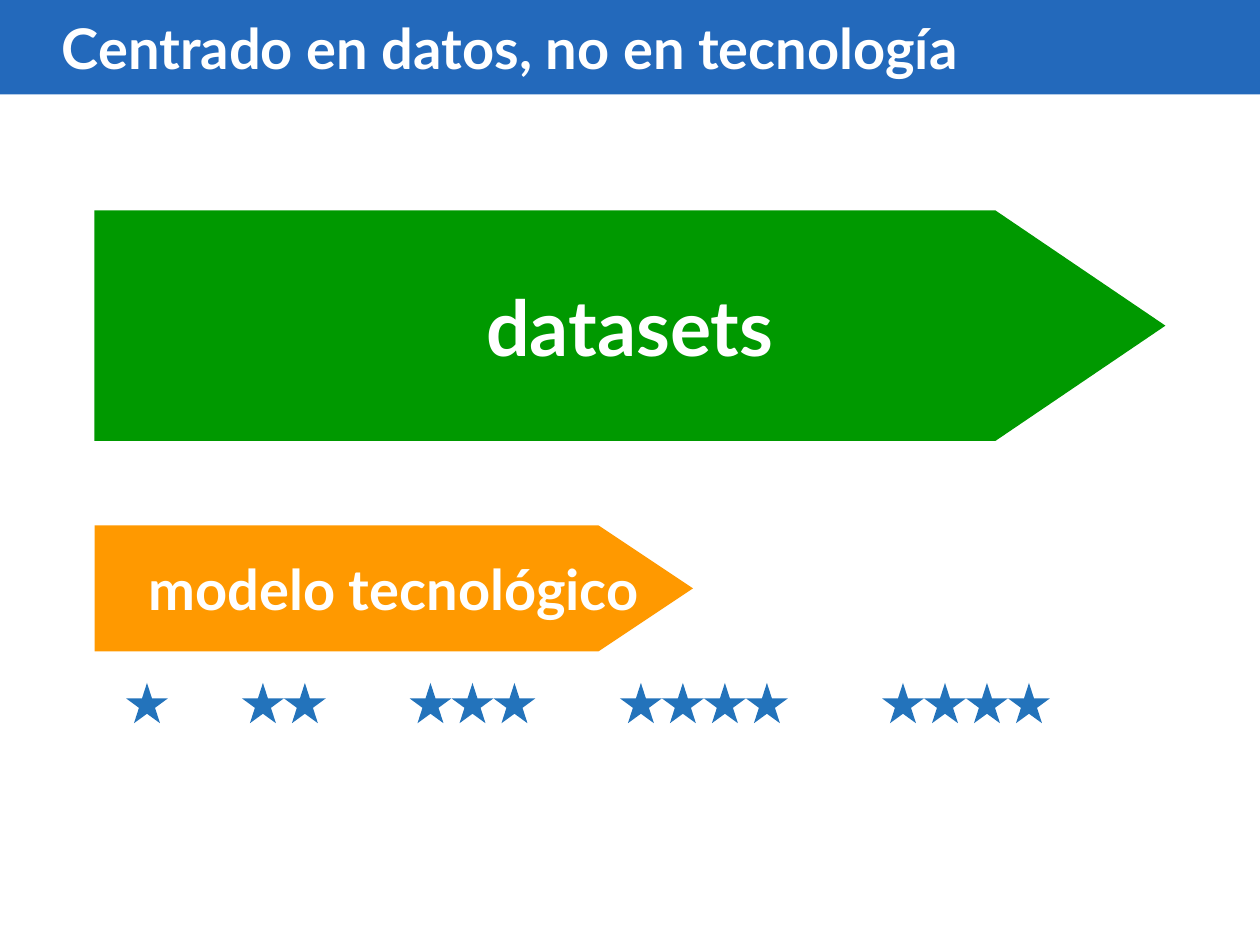
from dataclasses import dataclass

import pptx
import pptx.dml.color
import pptx.enum.shapes
import pptx.enum.text
import pptx.shapes.autoshape
import pptx.slide
import pptx.text.text
import pptx.util

Inches = pptx.util.Inches
RGBColor = pptx.dml.color.RGBColor
PP_ALIGN = pptx.enum.text.PP_ALIGN


@dataclass(frozen=True)
class Theme:
    font: str = "Lato"
    text: str = "FFFFFF"
    banner: str = "2369BB"
    datasets: str = "009900"
    model: str = "FF9900"
    star: str = "2373BB"
    normal_size: int = 32
    large_size: int = 44


@dataclass(frozen=True)
class Arrow:
    label: str
    top: float
    width: float
    height: float
    tip: float
    color: str
    size: int


@dataclass(frozen=True)
class Rating:
    left: float
    stars: int


THEME = Theme()
ARROW_LEFT = 0.75
STAR_TOP = 5.42
STAR_WIDTH = 1 / 3
STAR_HEIGHT = 0.32

ARROWS = (
    Arrow("datasets", 1.67, 8.5, 1.83, 1.35, THEME.datasets, THEME.large_size),
    Arrow("modelo tecnológico", 4.17, 4.75, 1, 0.75, THEME.model, THEME.normal_size),
)
RATINGS = (
    Rating(1, 1),
    Rating(1.92, 2),
    Rating(3.25, 3),
    Rating(4.92, 4),
    Rating(7, 4),
)


def paint(shape: pptx.shapes.autoshape.Shape, color: str) -> None:
    shape.fill.solid()
    shape.fill.fore_color.rgb = RGBColor.from_string(color)
    shape.line.fill.background()


def write_label(
    frame: pptx.text.text.TextFrame, label: str, size: int, alignment: PP_ALIGN
) -> None:
    frame.text = label
    frame.vertical_anchor = pptx.enum.text.MSO_ANCHOR.MIDDLE
    paragraph = frame.paragraphs[0]
    paragraph.alignment = alignment
    paragraph.font.name = THEME.font
    paragraph.font.size = pptx.util.Pt(size)
    paragraph.font.bold = True
    paragraph.font.color.rgb = RGBColor.from_string(THEME.text)


def format_title(slide: pptx.slide.Slide, heading: str) -> None:
    title = slide.shapes.title
    title.left, title.top = Inches(0), Inches(0)
    title.width, title.height = Inches(10), Inches(0.75)
    paint(title, THEME.banner)
    frame = title.text_frame
    frame.auto_size = pptx.enum.text.MSO_AUTO_SIZE.NONE
    frame.margin_left = Inches(0.49)
    write_label(frame, heading, THEME.normal_size, PP_ALIGN.LEFT)


def draw_arrow(slide: pptx.slide.Slide, arrow: Arrow) -> None:
    """Draw a block arrow whose label is centred over its full width, tip included."""
    right = ARROW_LEFT + arrow.width
    shoulder = right - arrow.tip
    bottom = arrow.top + arrow.height
    corners = (
        (shoulder, arrow.top),
        (right, arrow.top + arrow.height / 2),
        (shoulder, bottom),
        (ARROW_LEFT, bottom),
    )
    outline = slide.shapes.build_freeform(Inches(ARROW_LEFT), Inches(arrow.top))
    outline.add_line_segments([(Inches(x), Inches(y)) for x, y in corners], close=True)
    shape = outline.convert_to_shape()
    shape.shadow.inherit = False
    paint(shape, arrow.color)
    shape.text_frame.word_wrap = False
    write_label(shape.text_frame, arrow.label, arrow.size, PP_ALIGN.CENTER)


def draw_rating(slide: pptx.slide.Slide, rating: Rating) -> None:
    for index in range(rating.stars):
        star = slide.shapes.add_shape(
            pptx.enum.shapes.MSO_SHAPE.STAR_5_POINT,
            Inches(rating.left + index * STAR_WIDTH),
            Inches(STAR_TOP),
            Inches(STAR_WIDTH),
            Inches(STAR_HEIGHT),
        )
        star.shadow.inherit = False
        paint(star, THEME.star)


def main() -> None:
    presentation = pptx.Presentation()
    presentation.slide_width = Inches(10)
    presentation.slide_height = Inches(7.5)
    slide = presentation.slides.add_slide(presentation.slide_layouts[5])
    format_title(slide, "Centrado en datos, no en tecnología")
    for arrow in ARROWS:
        draw_arrow(slide, arrow)
    for rating in RATINGS:
        draw_rating(slide, rating)
    presentation.save("out.pptx")


if __name__ == "__main__":
    main()
